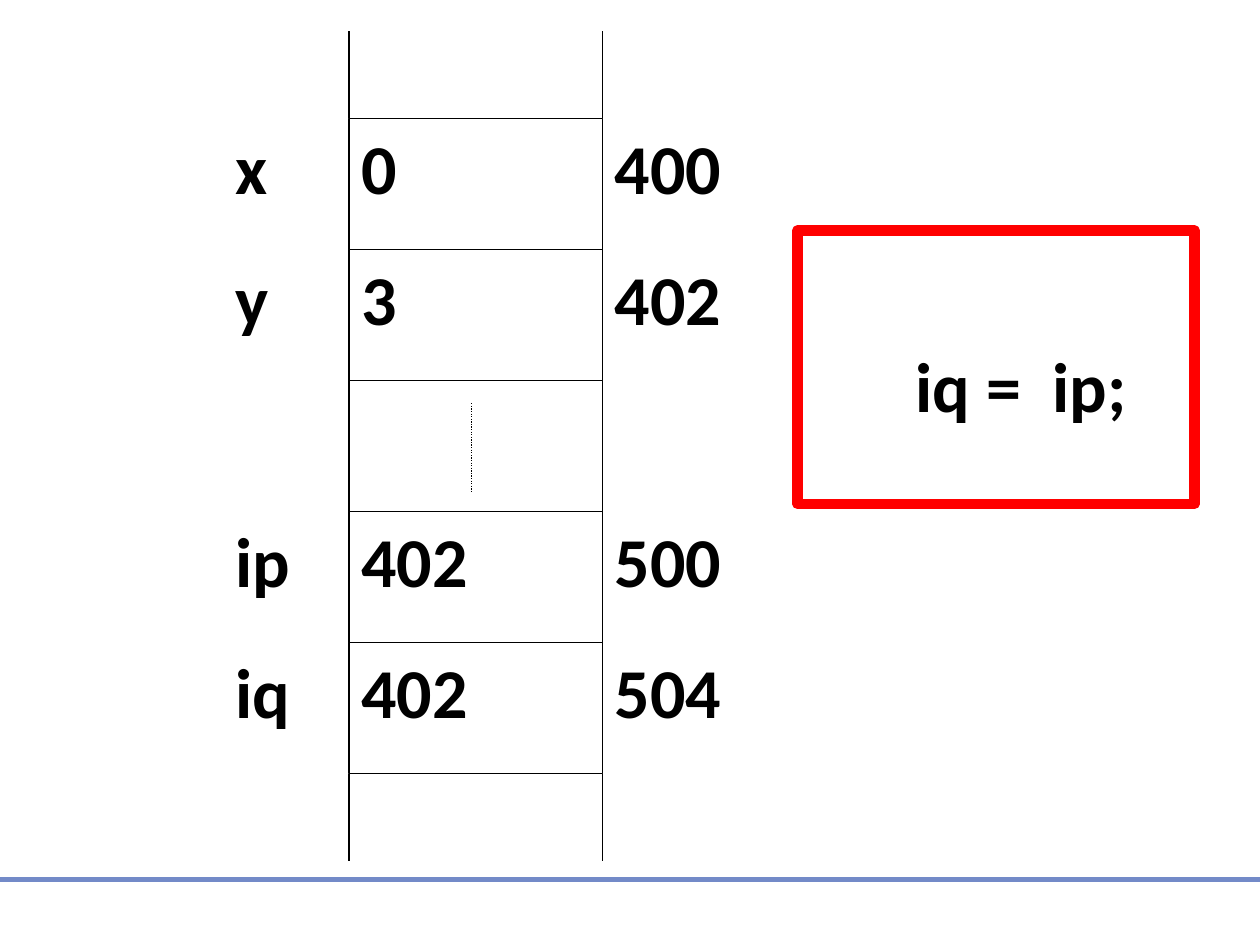
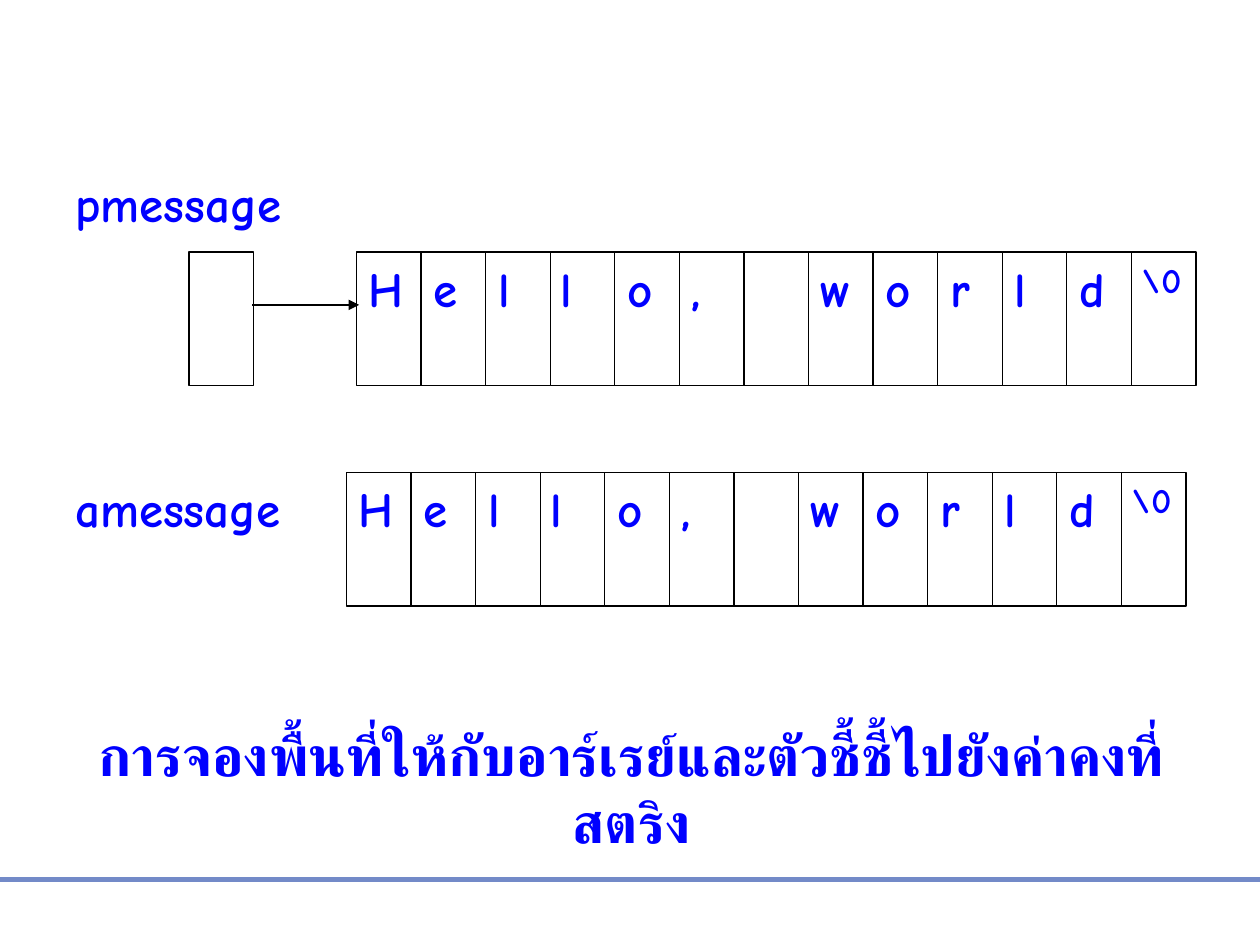
from dataclasses import dataclass
from typing import NamedTuple, Optional

from lxml import etree
from pptx import Presentation
from pptx.dml.color import RGBColor
from pptx.enum import dml, lang, shapes, text
from pptx.oxml.ns import qn
from pptx.util import Inches, Pt

BLACK, WHITE, BLUE, RED, BAND = "000000", "FFFFFF", "0000FF", "FF0000", "738AC8"
THIN = 0.75


class Style(NamedTuple):
    font: str
    size: float
    color: str


class Box(NamedTuple):
    left: float
    top: float
    width: float
    height: float


@dataclass(frozen=True)
class MemoryRow:
    name: str = ""
    value: str = ""
    address: str = ""
    name_width: float = 1.01


@dataclass(frozen=True)
class CharCell:
    char: str
    size: float = 28
    inset: float = 0.1


MEMORY = Style("Calibri", 40, BLACK)
CAPTION = Style("Calibri", 32, BLUE)
CODE = Style("Comic Neue", 28, BLUE)

MEMORY_ROWS = [
    MemoryRow("x", "0", "400"),
    MemoryRow("y", "3", "402"),
    MemoryRow(),
    MemoryRow("ip", "402", "500", 1.34),
    MemoryRow("iq", "402", "504", 1.34),
]
MESSAGE = [
    *map(CharCell, "Hel"),
    CharCell("l", inset=0.08),
    *map(CharCell, ["o", ",", "", "w", "o", "r", "l", "d"]),
    CharCell("\\0", size=20, inset=0.08),
]


def rgb(color: str) -> RGBColor:
    return RGBColor.from_string(color)


def write(frame, words: str, style: Style):
    frame.word_wrap = True
    frame.vertical_anchor = text.MSO_ANCHOR.TOP
    paragraph = frame.paragraphs[0]
    paragraph.alignment = text.PP_ALIGN.LEFT
    run = paragraph.add_run()
    run.text = words
    run.font.name = style.font
    run.font.size = Pt(style.size)
    run.font.bold = True
    run.font.color.rgb = rgb(style.color)
    return paragraph


def add_label(parent, box: Box, words: str, style: Style):
    label = parent.add_textbox(*map(Inches, box))
    return label.text_frame, write(label.text_frame, words, style)


def add_box(parent, box: Box, fill: Optional[str] = WHITE,
            line: str = BLACK, width: float = THIN):
    rect = parent.add_shape(shapes.MSO_SHAPE.RECTANGLE, *map(Inches, box))
    rect.shadow.inherit = False
    if fill:
        rect.fill.solid()
        rect.fill.fore_color.rgb = rgb(fill)
    else:
        rect.fill.background()
    rect.line.color.rgb = rgb(line)
    rect.line.width = Pt(width)
    return rect


def add_line(parent, x1: float, y1: float, x2: float, y2: float,
             color: str = BLACK, width: float = THIN):
    line = parent.add_connector(shapes.MSO_CONNECTOR.STRAIGHT,
                                *map(Inches, (x1, y1, x2, y2)))
    line.line.color.rgb = rgb(color)
    line.line.width = Pt(width)
    etree.SubElement(line.element.spPr, qn("a:effectLst"))
    return line


def add_slide(deck):
    slide = deck.slides.add_slide(deck.slide_layouts[6])
    add_line(slide.shapes, 0, 6.98, 10, 6.98, BAND, 3)
    return slide.shapes


def draw_memory(deck) -> None:
    parts = add_slide(deck)
    left, top, width, height = 2.77, 0.94, 2.01, 1.04
    right, bottom, stub = left + width, top + len(MEMORY_ROWS) * height, 0.69
    for x in (left, right):
        add_line(parts, x, top, x, top - stub)
        add_line(parts, x, bottom + stub, x, bottom)
    for index, row in enumerate(MEMORY_ROWS):
        y = top + index * height
        cell = add_box(parts, Box(left, y, width, height))
        if row.name:
            write(cell.text_frame, row.value, MEMORY)
            add_label(parts, Box(1.77, y, row.name_width, height), row.name, MEMORY)
            add_label(parts, Box(right, y, 1.68, height), row.address, MEMORY)
    omitted = add_line(parts, 3.74, 3.2, 3.74, 3.9)
    omitted.line.dash_style = dml.MSO_LINE.ROUND_DOT
    add_label(parts, Box(7.17, 2.67, 1.9, 0.75), "iq =  ip;", MEMORY)
    add_box(parts, Box(6.33, 1.83, 3.15, 2.17), None, RED, 6)


def draw_message(parts, left: float, top: float) -> None:
    pitch = 6.15 / (len(MESSAGE) - 1)
    row = parts.add_group_shape().shapes
    for index, cell in enumerate(MESSAGE):
        square = add_box(row, Box(left + index * pitch, top, pitch, 1.06))
        if cell.char:
            square.text_frame.margin_left = Inches(cell.inset)
            write(square.text_frame, cell.char, CODE._replace(size=cell.size))


def draw_strings(deck) -> None:
    parts = add_slide(deck)
    frame, caption = add_label(
        parts, Box(0.25, 5.67, 9.52, 1.17),
        "การจองพื้นที่ให้กับอาร์เรย์และตัวชี้ชี้ไปยังค่าคงที่สตริง", CAPTION)
    frame.auto_size = text.MSO_AUTO_SIZE.SHAPE_TO_FIT_TEXT
    caption.alignment = text.PP_ALIGN.CENTER
    caption.space_before = Pt(20)
    caption.runs[0].font.language_id = lang.MSO_LANGUAGE_ID.THAI

    draw_message(parts, 2.83, 2)
    draw_message(parts, 2.75, 3.75)
    add_label(parts, Box(0.5, 3.75, 2.1, 1.41), "amessage", CODE)
    add_box(parts, Box(1.5, 2, 0.51, 1.06))
    add_label(parts, Box(0.5, 1.33, 2, 1.41), "pmessage", CODE)
    pointer = add_line(parts, 2, 2.42, 2.85, 2.42)
    etree.SubElement(pointer.line._get_or_add_ln(), qn("a:tailEnd"), type="triangle")


def main() -> None:
    deck = Presentation()
    deck.slide_width, deck.slide_height = Inches(10), Inches(7.5)
    draw_memory(deck)
    draw_strings(deck)
    deck.save("out.pptx")


if __name__ == "__main__":
    main()
